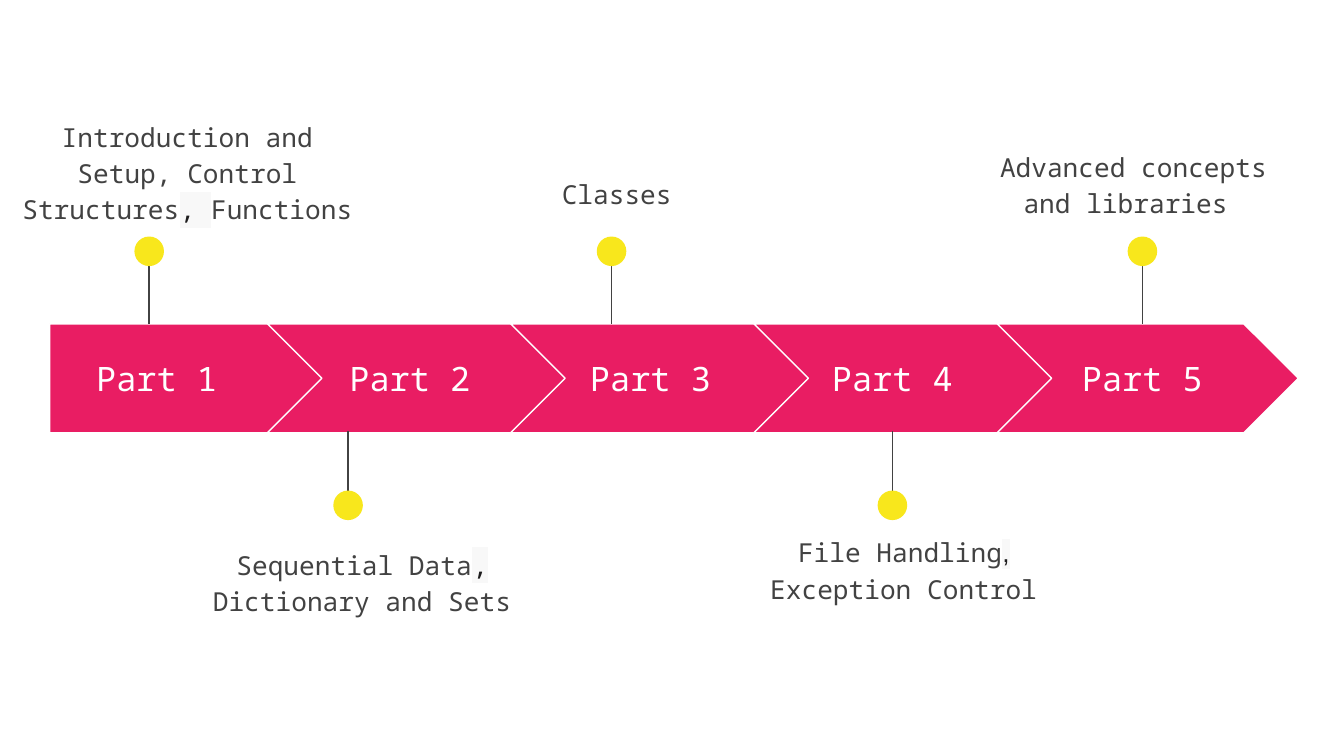
"""Build a five-part course timeline slide."""
from lxml import etree
from pptx import Presentation
from pptx import util as u
from pptx.dml.color import RGBColor
from pptx.enum import shapes, text
from pptx.oxml import ns

PINK = RGBColor(0xE9, 0x1D, 0x63)
GOLD = RGBColor(0xF8, 0xE7, 0x1C)
GREY = RGBColor(0x42, 0x42, 0x42)
INK = RGBColor(0x1D, 0x1C, 0x1D)
PALE = RGBColor(0xF8, 0xF8, 0xF8)
WHITE = RGBColor(0xFF, 0xFF, 0xFF)
MONO = "Noto Sans Mono"
COLS, ROWS = 10, 10 * 9 / 16
TOP, TALL = 2.41, 0.81
DOT = 0.22


class Board:
    """Holds the style and the current slide."""

    def __init__(self):
        self.deck = Presentation()
        self.deck.slide_width = u.Inches(COLS)
        self.deck.slide_height = u.Inches(ROWS)
        self.slide = self.deck.slides.add_slide(self.deck.slide_layouts[6])

    def place(self, x, y):
        return (round(self.deck.slide_width * x / COLS),
                round(self.deck.slide_height * y / ROWS))

    def shape(self, kind, box, fill, line=None, group=None):
        home = group or self.slide
        item = home.shapes.add_shape(kind, *self.place(*box[:2]), *self.place(*box[2:]))
        item.shadow.inherit = False
        item.fill.solid()
        item.fill.fore_color.rgb = fill
        if line is None:
            item.line.fill.background()
        else:
            item.line.color.rgb = line
            item.line.width = u.Pt(0.75)

    def pin(self, x, up):
        group = self.slide.shapes.add_group_shape()
        start, end, top = (1.8, 2.41, 1.76) if up else (3.82, 3.21, 3.65)
        stem = group.shapes.add_connector(
            shapes.MSO_CONNECTOR.STRAIGHT, *self.place(x, start), *self.place(x, end))
        stem.line.color.rgb = GREY
        stem.line.width = u.Pt(0.75)
        etree.SubElement(stem._element.spPr, ns.qn("a:effectLst"))
        self.shape(shapes.MSO_SHAPE.OVAL, (x - DOT / 2, top, DOT, DOT), GOLD, group=group)

    def frame(self, box, anchor, align):
        item = self.slide.shapes.add_textbox(*self.place(*box[:2]), *self.place(*box[2:]))
        frame = item.text_frame
        frame.word_wrap = True
        frame.vertical_anchor = anchor
        frame.margin_left = frame.margin_right = u.Inches(0.1)
        frame.margin_top = frame.margin_bottom = u.Inches(0.1)
        frame.paragraphs[0].alignment = align
        return frame

    def run(self, para, words, size, color, font=MONO, mark=None):
        run = para.add_run()
        run.text = words
        run.font.size = u.Pt(size)
        run.font.name = font
        run.font.color.rgb = color
        if mark is not None:
            glow = etree.Element(ns.qn("a:highlight"))
            etree.SubElement(glow, ns.qn("a:srgbClr"), val=str(mark))
            run.font._element.find(ns.qn("a:solidFill")).addnext(glow)

    def label(self, box, words):
        frame = self.frame(box, text.MSO_ANCHOR.MIDDLE, text.PP_ALIGN.CENTER)
        self.run(frame.paragraphs[0], words, 18, WHITE)

    def note(self, box, words, font=MONO, indent=0):
        align = text.PP_ALIGN.LEFT if indent else text.PP_ALIGN.CENTER
        frame = self.frame(box, text.MSO_ANCHOR.TOP, align)
        frame.margin_left = u.Inches(0.1 + indent)
        para = frame.paragraphs[0]
        para.line_spacing = 1.15
        para.space_after = u.Pt(16)
        for i, part in enumerate(words):
            if i:
                self.run(para, ", ", 14, INK, font, PALE)
            self.run(para, part, 14, GREY)


PARTS = [
    (0.37, 1.59, 1.11, (-0.01, 0.77, 2.81, 0.99),
     ["Introduction and Setup, Control Structures", "Functions"], {}),
    (2.33, 1.44, 2.59, (1.47, 3.95, 2.45, 0.99),
     ["Sequential Data", "Dictionary and Sets"], {}),
    (4.12, 1.44, 4.55, (3.58, 1.19, 2.45, 0.99), ["Classes"], {"indent": 0.5}),
    (5.92, 1.44, 6.64, (5.5, 3.86, 2.45, 0.99),
     ["File Handling", "Exception Control"], {"font": "Arial"}),
    (7.78, 1.44, 8.5, (7.21, 0.99, 2.45, 0.99),
     ["Advanced concepts and libraries "], {}),
]

board = Board()
for i, (left, wide, stem, box, words, style) in enumerate(PARTS):
    if i:
        kind, band = shapes.MSO_SHAPE.CHEVRON, (1.99 + 1.81 * (i - 1), TOP, 2.24, TALL)
    else:
        kind, band = shapes.MSO_SHAPE.PENTAGON, (0.37, TOP, 2.05, TALL)
    board.shape(kind, band, PINK, WHITE)
    board.label((left, 2.56, wide, 0.51), f"Part {i + 1}")
    board.pin(stem, i % 2 == 0)
    board.note(box, words, **style)
board.deck.save("out.pptx")
